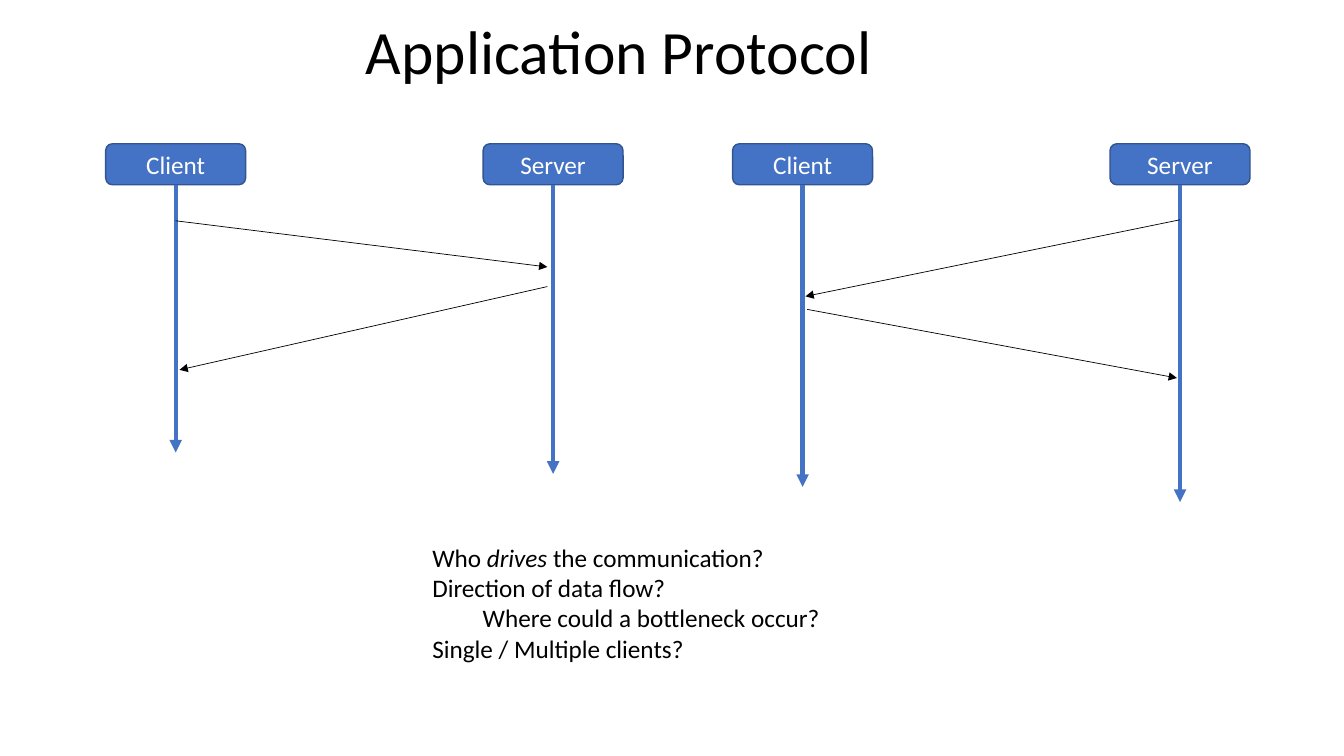
from lxml import etree
from pptx import Presentation
from pptx.dml.color import RGBColor
from pptx.enum.shapes import MSO_CONNECTOR, MSO_SHAPE
from pptx.enum.text import MSO_ANCHOR, MSO_AUTO_SIZE, PP_ALIGN
from pptx.oxml.ns import qn
from pptx.util import Pt

STRAIGHT = MSO_CONNECTOR.STRAIGHT
ROUNDED = MSO_SHAPE.ROUNDED_RECTANGLE
MIDDLE, TOP = MSO_ANCHOR.MIDDLE, MSO_ANCHOR.TOP
CENTER, LEFT = PP_ALIGN.CENTER, PP_ALIGN.LEFT
NO_FIT, GROW = MSO_AUTO_SIZE.NONE, MSO_AUTO_SIZE.SHAPE_TO_FIT_TEXT

FONT = "Calibri"
BLUE, DARK_BLUE, BLACK, WHITE = "4472C4", "325491", "000000", "FFFFFF"
TITLE_ONLY = 5
BOTTOM_SIDE = 2

ROLE_WIDTH, ROLE_HEIGHT = 100, 29.3
ROLE_GAP = 269.6  # from the client's lifeline to the server's


def color(hex_text):
    return RGBColor.from_string(hex_text)


def add_text(para, text, size=18, ink=BLACK, italic=False):
    span = para.add_run()
    span.text = text
    span.font.name = FONT
    span.font.size = Pt(size)
    span.font.italic = italic
    span.font.color.rgb = color(ink)


def add_arrow(page, start, end, ink, width):
    arrow = page.shapes.add_connector(STRAIGHT, *map(Pt, (*start, *end)))
    arrow.line.color.rgb = color(ink)
    arrow.line.width = Pt(width)
    outline = arrow.line._get_or_add_ln()
    etree.SubElement(outline, qn("a:tailEnd"), type="triangle")
    etree.SubElement(arrow._element.spPr, qn("a:effectLst"))
    return arrow


def add_title(page, left, top, width, height):
    title = page.shapes.title
    title.left, title.top = Pt(left), Pt(top)
    title.width, title.height = Pt(width), Pt(height)
    frame = title.text_frame
    frame.auto_size = NO_FIT
    frame.vertical_anchor = MIDDLE
    para = frame.paragraphs[0]
    para.alignment = CENTER
    para.line_spacing = 0.9
    add_text(para, "Application Protocol", size=44)


def add_role(page, name, left, top, lifeline_length):
    """Add a named box with a lifeline that runs down from its bottom side."""
    box = page.shapes.add_shape(
        ROUNDED, Pt(left), Pt(top), Pt(ROLE_WIDTH), Pt(ROLE_HEIGHT))
    box.shadow.inherit = False
    box.fill.solid()
    box.fill.fore_color.rgb = color(BLUE)
    box.line.color.rgb = color(DARK_BLUE)
    box.line.width = Pt(1)
    box.text_frame.vertical_anchor = MIDDLE
    para = box.text_frame.paragraphs[0]
    para.alignment = CENTER
    add_text(para, name, ink=WHITE)

    middle, bottom = left + ROLE_WIDTH / 2, top + ROLE_HEIGHT
    lifeline = add_arrow(
        page, (middle, bottom), (middle, bottom + lifeline_length), BLUE, 3)
    lifeline.begin_connect(box, BOTTOM_SIDE)


def add_sequence(page, left, top, lifeline_lengths, messages):
    """Message points are measured from the top of the client's lifeline axis."""
    for index, (name, length) in enumerate(zip(("Client", "Server"), lifeline_lengths)):
        add_role(page, name, left + index * ROLE_GAP, top, length)
    axis = left + ROLE_WIDTH / 2
    for message in messages:
        start, end = [(axis + x, top + y) for x, y in message]
        add_arrow(page, start, end, BLACK, 0.5)


def add_questions(page, left, top, width, height):
    box = page.shapes.add_textbox(Pt(left), Pt(top), Pt(width), Pt(height))
    frame = box.text_frame
    frame.word_wrap = True
    frame.auto_size = GROW
    frame.vertical_anchor = TOP
    questions = [
        ["Who ", "drives", " the communication?"],
        ["Direction of data flow?"],
        ["\tWhere could a bottleneck occur?"],
        ["Single / Multiple clients?"],
    ]
    for index, parts in enumerate(questions):
        para = frame.add_paragraph() if index else frame.paragraphs[0]
        para.alignment = LEFT
        for part in parts:
            add_text(para, part, italic=part == "drives")


def main():
    deck = Presentation()
    deck.slide_width, deck.slide_height = Pt(960), Pt(540)
    page = deck.slides.add_slide(deck.slide_layouts[TITLE_ONLY])
    add_title(page, 98, 0, 688.3, 77.8)
    add_sequence(page, 75.5, 102.7, (191.3, 206.4), [
        ((0, 55), (265.5, 88)),
        ((265.5, 102), (2.7, 161.5)),
    ])
    add_sequence(page, 523.3, 102.7, (215.8, 226.6), [
        ((ROLE_GAP, 54.3), (2, 109)),
        ((3.3, 118.3), (267.4, 167.3)),
    ])
    add_questions(page, 301.7, 383.8, 363.6, 94.5)
    deck.save("out.pptx")


if __name__ == "__main__":
    main()
